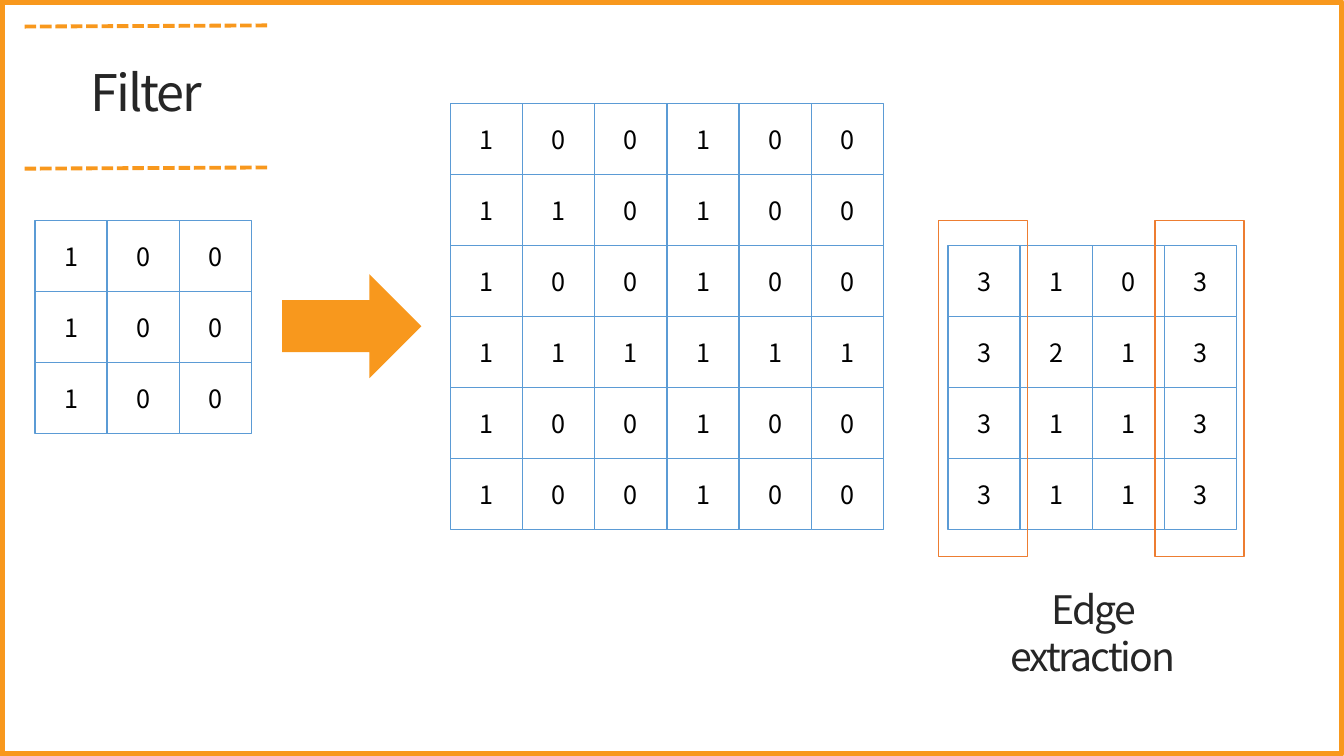
"""Build the slide showing a 3x3 filter, its input grid and the extracted edges."""
from dataclasses import dataclass

from lxml.etree import SubElement
from pptx import Presentation
from pptx.dml.color import RGBColor
from pptx.enum.dml import MSO_LINE
from pptx.enum.shapes import MSO_CONNECTOR, MSO_SHAPE
from pptx.enum.text import MSO_ANCHOR, MSO_AUTO_SIZE, PP_ALIGN
from pptx.oxml.ns import qn
from pptx.util import Cm, Pt

COLORS = {
    "accent": "F8981D",
    "grid": "5B9BD5",
    "edge": "ED7D31",
    "cell": "FFFFFF",
    "digit": "000000",
    "title": "262626",
}
FONT = "Noto Sans CJK KR"
PITCH_X, PITCH_Y = 1.82, 1.79


@dataclass
class Box:
    left: float
    top: float
    width: float
    height: float


@dataclass
class Grid:
    left: float
    top: float
    rows: list[str]


@dataclass
class Label:
    text: str
    box: Box
    size: int
    margin: float


GRIDS = [
    Grid(0.88, 5.56, ["100", "100", "100"]),
    Grid(11.35, 2.61, ["100100", "110100", "100100", "111111", "100100", "100100"]),
    Grid(23.89, 6.19, ["3103", "3213", "3113", "3113"]),
]
FRAME = Box(0.05, 0.05, 33.76, 18.95)
ARROW = Box(7.11, 6.91, 3.51, 2.62)
EDGES = [Box(left, 5.56, 2.24, 8.46) for left in (23.65, 29.11)]
RULE_TOPS = (0.64, 4.22)
LABELS = [
    Label("Filter", Box(-0.18, 1.42, 7.75, 1.8), 36, 0.25),
    Label("Edge extraction", Box(24.16, 14.63, 6.76, 1.45), 28, 0.9),
]


def rgb(name: str) -> RGBColor:
    """Return the named colour."""
    return RGBColor.from_string(COLORS[name])


def add_block(slide, kind, box: Box, fill: str = "", line: str = "", weight: float = 1):
    """Draw a preset shape with an optional fill and outline."""
    sp = slide.shapes.add_shape(
        kind, Cm(box.left), Cm(box.top), Cm(box.width), Cm(box.height)
    )
    sp.shadow.inherit = False
    if fill:
        sp.fill.solid()
        sp.fill.fore_color.rgb = rgb(fill)
    else:
        sp.fill.background()
    if line:
        sp.line.color.rgb = rgb(line)
        sp.line.width = Pt(weight)
    else:
        sp.line.fill.background()
    return sp


def write(tf, text: str, size: int, color: str):
    """Write one centred line of text and return its run."""
    p = tf.paragraphs[0]
    p.text = text
    p.alignment = PP_ALIGN.CENTER
    r = p.runs[0]
    r.font.size = Pt(size)
    r.font.name = FONT
    r.font.color.rgb = rgb(color)
    SubElement(r.font._element, qn("a:ea")).set("typeface", FONT)
    return r


def add_rule(slide, top: float) -> None:
    """Draw a slightly slanted dashed rule."""
    cxn = slide.shapes.add_connector(
        MSO_CONNECTOR.STRAIGHT, Cm(6.73), Cm(top), Cm(0.58), Cm(top + 0.03)
    )
    cxn.line.color.rgb = rgb("accent")
    cxn.line.width = Pt(2.75)
    cxn.line.dash_style = MSO_LINE.SQUARE_DOT
    SubElement(cxn._element.spPr, qn("a:effectLst"))


def add_grid(slide, grid: Grid) -> None:
    """Draw a grid of digit cells."""
    for i, row in enumerate(grid.rows):
        for j, digit in enumerate(row):
            box = Box(grid.left + j * PITCH_X, grid.top + i * PITCH_Y, PITCH_X, PITCH_Y)
            sp = add_block(slide, MSO_SHAPE.RECTANGLE, box, "cell", "grid")
            sp.text_frame.vertical_anchor = MSO_ANCHOR.MIDDLE
            write(sp.text_frame, digit, 18, "digit")


def add_label(slide, label: Label) -> None:
    """Draw a heading with tightened letter spacing."""
    box = label.box
    tb = slide.shapes.add_textbox(
        Cm(box.left), Cm(box.top), Cm(box.width), Cm(box.height)
    )
    tf = tb.text_frame
    tf.word_wrap = True
    tf.auto_size = MSO_AUTO_SIZE.SHAPE_TO_FIT_TEXT
    tf.margin_left = tf.margin_right = Cm(label.margin)
    r = write(tf, label.text, label.size, "title")
    r.font._element.set("spc", "-150")


def main() -> None:
    """Build and save the slide."""
    prs = Presentation()
    prs.slide_width, prs.slide_height = Cm(33.87), Cm(19.05)
    s = prs.slides.add_slide(prs.slide_layouts[6])
    add_block(s, MSO_SHAPE.RECTANGLE, FRAME, line="accent", weight=3.75)
    for top in RULE_TOPS:
        add_rule(s, top)
    for grid in GRIDS:
        add_grid(s, grid)
    add_block(s, MSO_SHAPE.RIGHT_ARROW, ARROW, "accent")
    for box in EDGES:
        add_block(s, MSO_SHAPE.RECTANGLE, box, line="edge")
    for label in LABELS:
        add_label(s, label)
    prs.save("out.pptx")


if __name__ == "__main__":
    main()
